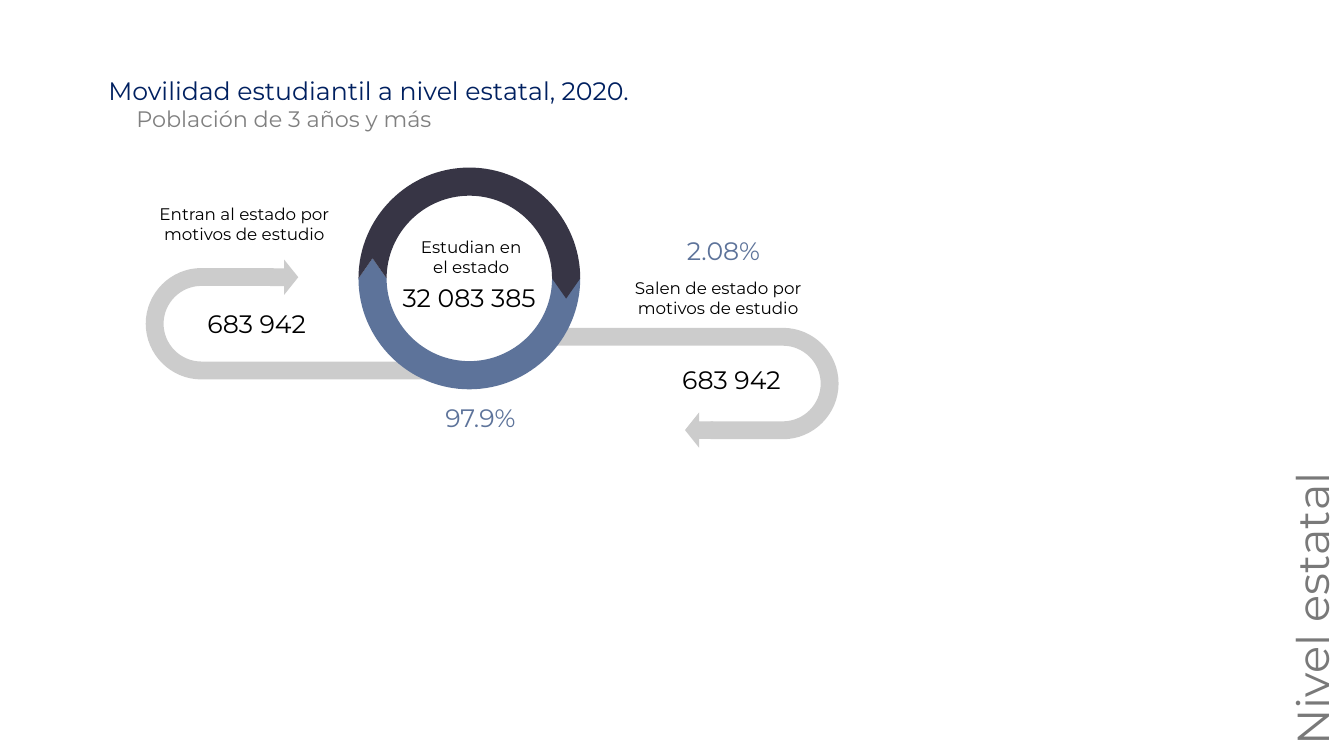
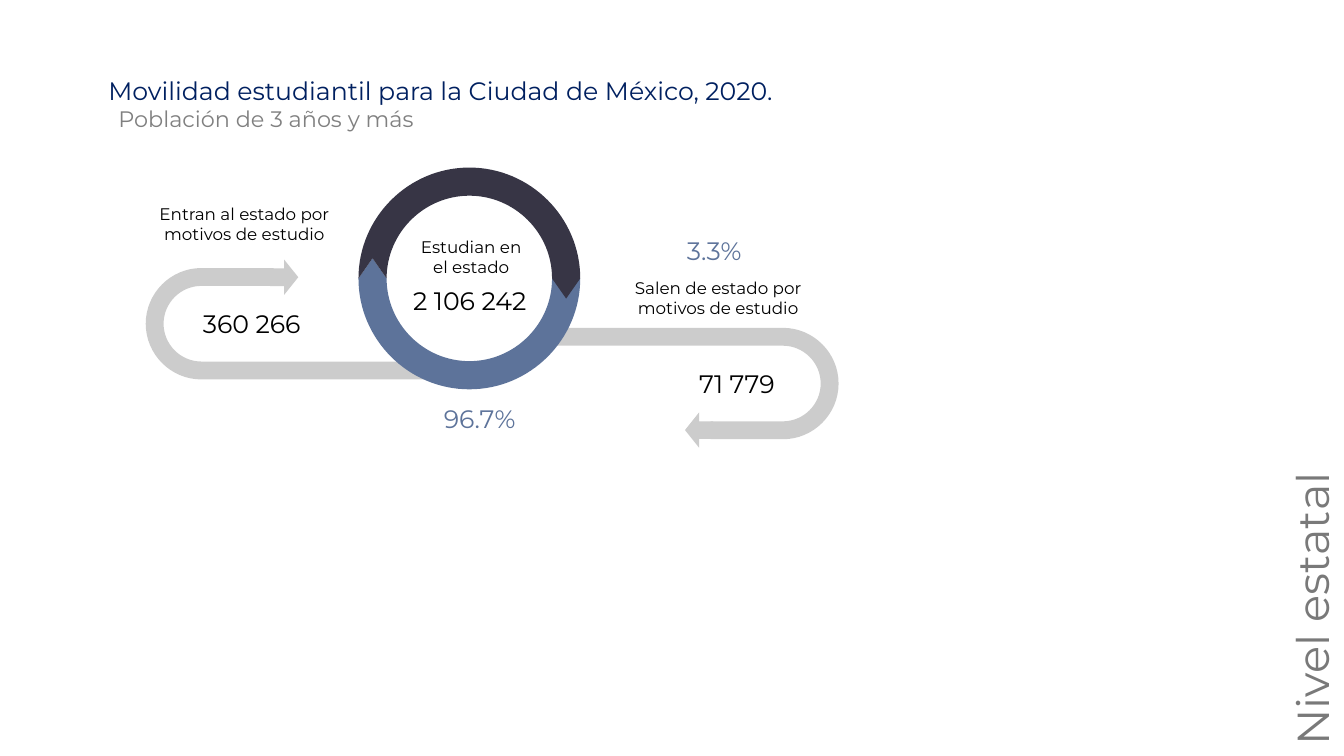
from dataclasses import dataclass
from math import cos, radians, sin

from lxml import etree
from pptx import Presentation
from pptx import util as u
from pptx.dml.color import RGBColor
from pptx.enum import shapes, text
from pptx.oxml.ns import qn

# Grid: 160 columns by 90 rows of square cells, 12 to the inch
COLS, ROWS = 160, 90
CELL = u.Inches(1) // 12


@dataclass(frozen=True)
class Theme:
    font: str = "Montserrat"
    navy: str = "002060"
    gray: str = "808080"
    side: str = "797979"
    head: str = "CCCCCC"
    blue: str = "5D739A"
    dark: str = "373545"
    black: str = "000000"
    small: int = 12
    sub: int = 16
    large: int = 18
    huge: int = 32


T = Theme()

# Ring and arms, in cells
RING = (55.88, 33.15)
OUTER, INNER, TIP = 13.2, 9.85, 2.4
ARM_OUT, ARM_IN = (93.2, 45.66), (23.98, 38.54)
BEND, HOLE = 6.63, 4.5
LONG, SHORT = 27.9, 8.6
BOW = 0.55  # control length of a quarter circle, per radius

# Each value: text, left, top, width
STATES = [
    dict(title=("Movilidad estudiantil a nivel estatal, 2020.", 67.56),
         sub=15.05,
         study=("32 083 385", 46.76, 33, 18.72),
         leave=("683 942", 80.04, 42.78, 14.4),
         enter=("683 942", 23.52, 36.12, 14.4),
         stay=("97.9%", 51.84, 47.28, 11.16),
         rate=("2.08%", 80.6, 27.42, 11.4)),
    dict(title=("Movilidad estudiantil para la Ciudad de México, 2020.", 85.32),
         sub=12.92,
         study=("2 106 242", 48, 33.36, 16.32),
         leave=("71 779", 82.04, 43.2, 11.64),
         enter=("360 266", 22.97, 36.12, 14.4),
         stay=("96.7%", 51.65, 47.4, 11.16),
         rate=("3.3%", 80.6, 27.42, 9.12)),
]


def cells(*nums):
    return [round(n * CELL) for n in nums]


def paint(shape, color, alpha=None):
    shape.shadow.inherit = False
    shape.fill.solid()
    shape.fill.fore_color.rgb = RGBColor.from_string(color)
    shape.line.fill.background()
    if alpha:
        tone = shape.fill._xPr.find(qn("a:solidFill"))[0]
        etree.SubElement(tone, qn("a:alpha")).set("val", str(alpha * 1000))


def arc(radius, start, end):
    """Start point, then one curve of three points per quarter turn."""
    way = 1 if end > start else -1
    parts = [[(radius * cos(radians(start)), radius * sin(radians(start)))]]
    for turn in range(start, end, 90 * way):
        x, y = parts[-1][-1]
        p, q = -way * y, way * x
        parts.append([(x + BOW * p, y + BOW * q),
                      (p + BOW * x, q + BOW * y), (p, q)])
    return parts


def outline(slide, center, parts, sign, color, alpha=None):
    """Closed outline around a center; sign -1 turns it half round."""
    spots = [cells(center[0] + sign * x, center[1] + sign * y)
             for part in parts for x, y in part]
    pen = slide.shapes.build_freeform(*spots[0])
    pen.add_line_segments(spots[1:], close=True)
    shape = pen.convert_to_shape()
    # Join the three steps of each curve into one Bezier
    steps = iter(list(shape._element.iter(qn("a:lnTo"))))
    for part in parts[1:]:
        first, *rest = [next(steps) for _ in part]
        if rest:
            first.addprevious(curve := etree.Element(qn("a:cubicBezTo")))
            for step in (first, *rest):
                curve.append(step[0])
                step.getparent().remove(step)
    paint(shape, color, alpha)


def arm(slide, center, sign):
    parts = [[(-LONG, -BEND)], *arc(BEND, -90, 90), [(-SHORT, BEND)],
             [(-SHORT, HOLE)], *arc(HOLE, 90, -90), [(-LONG, -HOLE)]]
    outline(slide, center, parts, sign, T.gray, 40)


def half(slide, sign, color, notch=()):
    mid = (OUTER + INNER) / 2
    parts = [[(-mid, -TIP)], *arc(INNER, 180, 0),
             *[[(mid, depth)] for depth in notch], *arc(OUTER, 0, 180)]
    outline(slide, RING, parts, sign, color)


def arrow(slide, kind, left, top):
    paint(slide.shapes.add_shape(kind, *cells(left, top, 3.36, 4.2)), T.head)


def label(slide, words, left, top, width, height=4.85, size=T.large,
          color=T.black, wrap=False, turn=0):
    box = slide.shapes.add_textbox(*cells(left, top, width, height))
    box.rotation = turn
    frame = box.text_frame
    frame.word_wrap = wrap
    frame.auto_size = text.MSO_AUTO_SIZE.SHAPE_TO_FIT_TEXT
    para = frame.paragraphs[0]
    if wrap:
        para.alignment = text.PP_ALIGN.CENTER
    run = para.add_run()
    run.text = words
    run.font.name = T.font
    run.font.size = u.Pt(size)
    run.font.color.rgb = RGBColor.from_string(color)


def note(slide, words, left, top, width):
    label(slide, words, left, top, width, 6, T.small, wrap=True)


def frame(slide, title, width, indent):
    # Title, subtitle and side heading
    label(slide, title, 11.72, 8.34, width, color=T.navy)
    label(slide, "Población de 3 años y más", indent, 11.88, 38.52, 4.45,
          T.sub, T.gray)
    label(slide, "Nivel estatal", 137.88, 67.84, 36.6, 7.68, T.huge, T.side,
          turn=270)


def chart(slide):
    # Arms below the ring, then heads
    arm(slide, ARM_OUT, 1)
    arm(slide, ARM_IN, -1)
    half(slide, 1, T.blue)
    half(slide, -1, T.dark, [TIP])
    arrow(slide, shapes.MSO_SHAPE.LEFT_ARROW, 81.55, 49.1)
    arrow(slide, shapes.MSO_SHAPE.RIGHT_ARROW, 32.15, 30.9)
    # Captions
    note(slide, "Estudian en el estado", 48, 27.6, 16.2)
    note(slide, "Entran al estado por motivos de estudio", 15.9, 23.64, 26.4)
    note(slide, "Salen de estado por motivos de estudio", 72.3, 32.47, 26.4)


def main():
    deck = Presentation()
    deck.slide_width, deck.slide_height = cells(COLS, ROWS)
    for state in STATES:
        slide = deck.slides.add_slide(deck.slide_layouts[6])
        chart(slide)
        frame(slide, *state["title"], state["sub"])
        # Counts in black, shares in blue
        for key in ("study", "leave", "enter"):
            label(slide, *state[key])
        for key in ("stay", "rate"):
            label(slide, *state[key], color=T.blue)
    deck.save("out.pptx")


if __name__ == "__main__":
    main()
